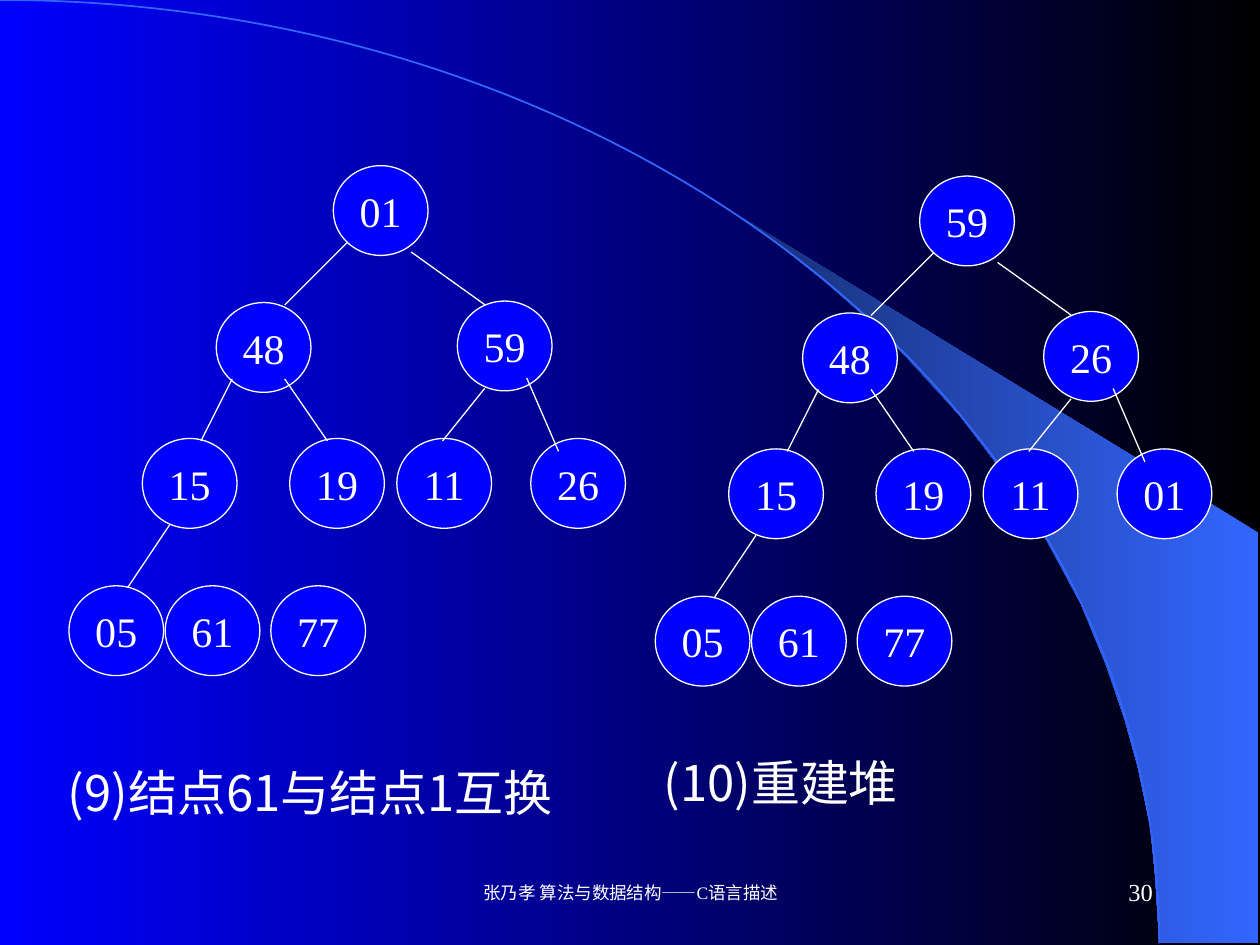
from dataclasses import dataclass
from typing import NamedTuple

from lxml.etree import SubElement
from pptx import Presentation
from pptx.dml.color import RGBColor
from pptx.dml.fill import FillFormat
from pptx.enum.shapes import MSO_CONNECTOR as Connector, MSO_SHAPE as Shape
from pptx.enum.text import MSO_ANCHOR as Anchor, PP_ALIGN as Align
from pptx.oxml.ns import qn
from pptx.slide import Slide
from pptx.text.text import TextFrame
from pptx.util import Cm, Pt


@dataclass(frozen=True)
class Theme:
    white: RGBColor = RGBColor.from_string("FFFFFF")
    black: RGBColor = RGBColor.from_string("000000")
    blue: RGBColor = RGBColor.from_string("0000FF")
    band_light: RGBColor = RGBColor.from_string("3366FF")
    band_dark: RGBColor = RGBColor.from_string("172F75")
    latin: str = "Times New Roman"
    chinese: str = "Noto Sans CJK SC"
    caption_size: int = 28
    node_size: int = 24
    number_size: int = 14
    footer_size: int = 10
    thin: float = 0.75
    arc_width: float = 1


class Point(NamedTuple):
    x: float
    y: float


class Edge(NamedTuple):
    start: Point
    end: Point


class Tree(NamedTuple):
    offset: Point
    keys: tuple[str, ...]


class Label(NamedTuple):
    text: str
    left: float
    top: float
    width: float
    height: float
    size: int
    font: str
    align: Align = Align.LEFT
    wrap: bool = True


THEME = Theme()

# All lengths are in centimetres
SLIDE_WIDTH, SLIDE_HEIGHT = 25.4, 19.05
NODE_WIDTH, NODE_HEIGHT = 1.91, 1.81
ARC_RADIUS = Point(23.37, 19.02)

BAND = [Point(*pair) for pair in (
    (23.37, 19), (25.37, 19.02), (25.37, 10.74), (14.96, 4.39), (15.85, 5.05),
    (16.59, 5.64), (17.4, 6.35), (18.19, 7.11), (19.35, 8.38), (20.4, 9.75),
    (21.13, 10.95), (21.79, 12.17), (22.3, 13.41), (22.68, 14.53),
    (22.94, 15.47), (23.19, 16.66), (23.29, 17.68),
)]

# Heap layout, level by level; the last two nodes are already sorted out
NODES = [Point(*pair) for pair in (
    (6.72, 3.34),
    (4.36, 6.1), (9.22, 6.07),
    (2.87, 8.84), (5.84, 8.84), (8, 8.84), (10.7, 8.84),
    (1.39, 11.81), (3.33, 11.81), (5.46, 11.81),
)]
EDGES = [
    Edge(Point(7.01, 4.88), Point(5.74, 6.15)),
    Edge(Point(8.29, 5.08), Point(9.77, 6.14)),
    Edge(Point(4.68, 7.64), Point(4.05, 8.89)),
    Edge(Point(5.74, 7.64), Point(6.6, 8.89)),
    Edge(Point(9.77, 7.83), Point(8.92, 8.89)),
    Edge(Point(10.62, 7.62), Point(11.26, 9.1)),
    Edge(Point(3.42, 10.58), Point(2.57, 11.85)),
]
TREES = [
    Tree(Point(0, 0),
         ("01", "48", "59", "15", "19", "11", "26", "05", "61", "77")),
    Tree(Point(11.82, 0.21),
         ("59", "48", "26", "15", "19", "11", "01", "05", "61", "77")),
]

LABELS = [
    Label("(9)结点61与结点1互换", 1.12, 15.24, 11.56, 1.45,
          THEME.caption_size, THEME.chinese, wrap=False),
    Label("(10)重建堆", 13.13, 15.04, 11, 1.45,
          THEME.caption_size, THEME.chinese),
    Label("张乃孝 算法与数据结构——C语言描述", 8.69, 17.35, 8.05, 1.27,
          THEME.footer_size, THEME.latin, Align.CENTER),
    Label("30", 18.21, 17.35, 5.28, 1.27,
          THEME.number_size, THEME.latin, Align.RIGHT),
]


def set_gradient(fill: FillFormat, first: RGBColor, last: RGBColor) -> None:
    """Blend from the first colour at the right to the last at the left."""
    fill.gradient()
    fill.gradient_angle = 180
    for stop, position, color in zip(fill.gradient_stops, (0, 1), (first, last)):
        stop.position = position
        stop.color.rgb = color


def write_text(frame: TextFrame, text: str, size: int, font: str,
               align: Align, wrap: bool) -> None:
    frame.word_wrap = wrap
    frame.vertical_anchor = Anchor.MIDDLE
    paragraph = frame.paragraphs[0]
    paragraph.text = text
    paragraph.alignment = align
    paragraph.font.size = Pt(size)
    paragraph.font.name = font
    paragraph.font.color.rgb = THEME.white
    defaults = paragraph._p.pPr.find(qn("a:defRPr"))
    SubElement(defaults, qn("a:ea")).set("typeface", THEME.chinese)


def draw_backdrop(slide: Slide) -> None:
    set_gradient(slide.background.fill, THEME.black, THEME.blue)

    # Light band on the right
    builder = slide.shapes.build_freeform(Cm(BAND[0].x), Cm(BAND[0].y))
    builder.add_line_segments([(Cm(x), Cm(y)) for x, y in BAND[1:]])
    band = builder.convert_to_shape()
    band.shadow.inherit = False
    set_gradient(band.fill, THEME.band_light, THEME.band_dark)
    band.line.fill.background()

    # Quarter ellipse centred on the left edge
    arc = slide.shapes.add_shape(Shape.ARC, Cm(-ARC_RADIUS.x), Cm(0),
                                 Cm(2 * ARC_RADIUS.x), Cm(2 * ARC_RADIUS.y))
    arc.shadow.inherit = False
    arc.fill.background()
    arc.line.color.rgb = THEME.band_light
    arc.line.width = Pt(THEME.arc_width)


def draw_node(slide: Slide, key: str, left: float, top: float) -> None:
    node = slide.shapes.add_shape(Shape.OVAL, Cm(left), Cm(top),
                                  Cm(NODE_WIDTH), Cm(NODE_HEIGHT))
    node.shadow.inherit = False
    node.fill.solid()
    node.fill.fore_color.rgb = THEME.blue
    node.line.color.rgb = THEME.white
    node.line.width = Pt(THEME.thin)
    write_text(node.text_frame, key, THEME.node_size, THEME.latin,
               Align.CENTER, wrap=False)


def draw_edge(slide: Slide, edge: Edge, offset: Point) -> None:
    line = slide.shapes.add_connector(
        Connector.STRAIGHT,
        Cm(edge.start.x + offset.x), Cm(edge.start.y + offset.y),
        Cm(edge.end.x + offset.x), Cm(edge.end.y + offset.y))
    line.line.color.rgb = THEME.white
    line.line.width = Pt(THEME.thin)
    SubElement(line._element.spPr, qn("a:effectLst"))


def draw_tree(slide: Slide, tree: Tree) -> None:
    for key, place in zip(tree.keys, NODES):
        draw_node(slide, key, place.x + tree.offset.x, place.y + tree.offset.y)
    for edge in EDGES:
        draw_edge(slide, edge, tree.offset)


def draw_label(slide: Slide, label: Label) -> None:
    box = slide.shapes.add_textbox(Cm(label.left), Cm(label.top),
                                   Cm(label.width), Cm(label.height))
    write_text(box.text_frame, label.text, label.size, label.font,
               label.align, label.wrap)


def main() -> None:
    presentation = Presentation()
    presentation.slide_width = Cm(SLIDE_WIDTH)
    presentation.slide_height = Cm(SLIDE_HEIGHT)
    slide = presentation.slides.add_slide(presentation.slide_layouts[6])
    draw_backdrop(slide)
    for tree in TREES:
        draw_tree(slide, tree)
    for label in LABELS:
        draw_label(slide, label)
    presentation.save("out.pptx")


if __name__ == "__main__":
    main()
